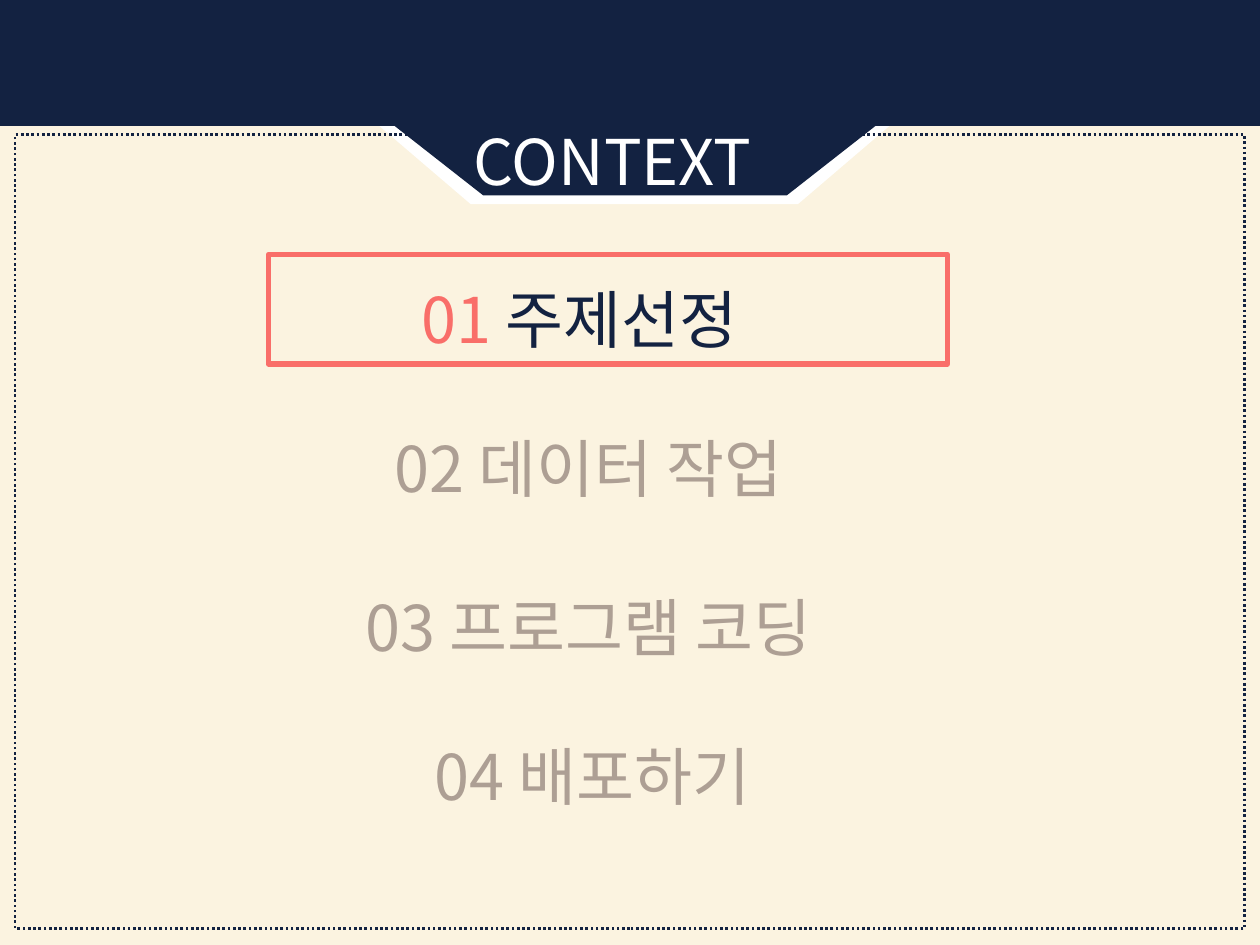
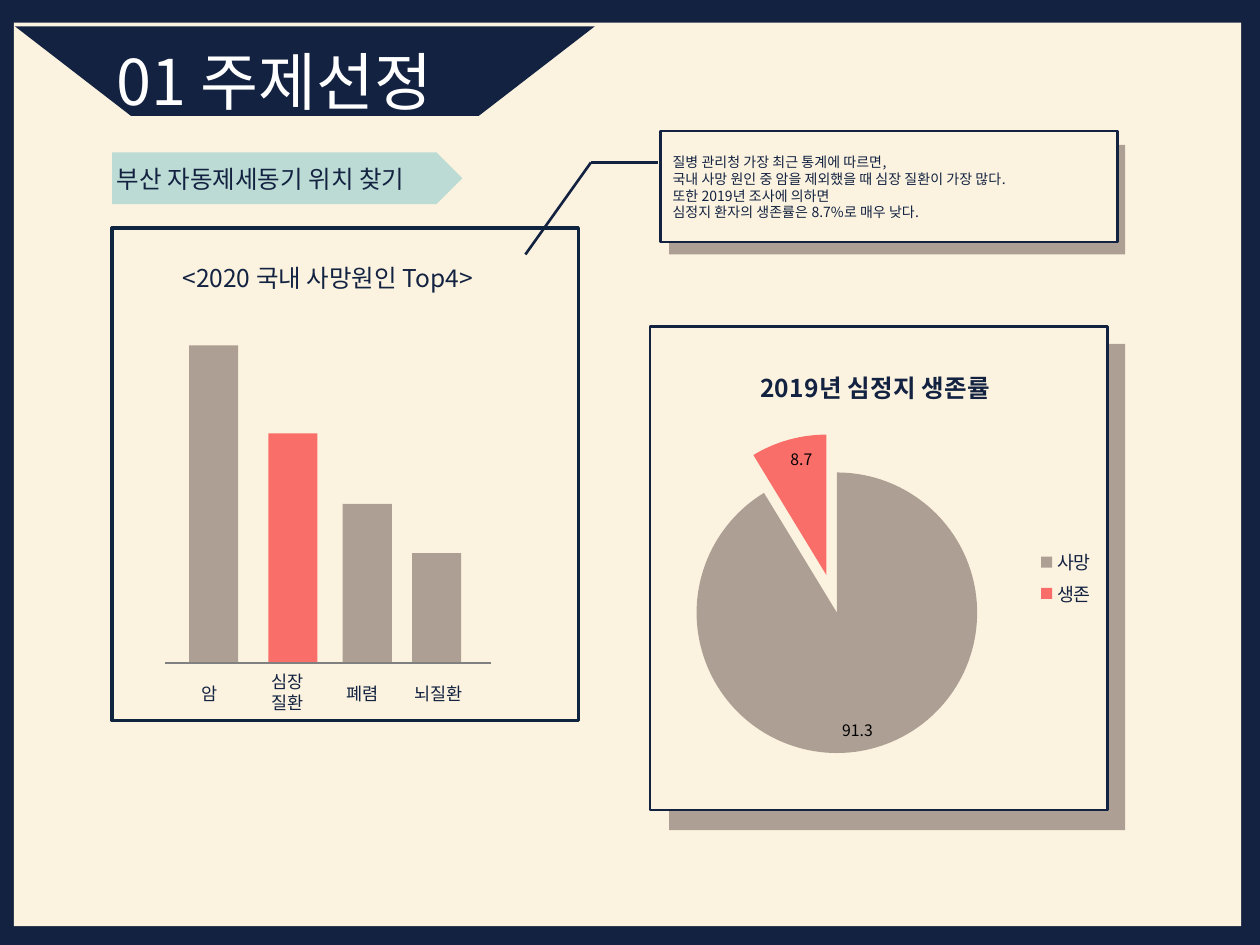
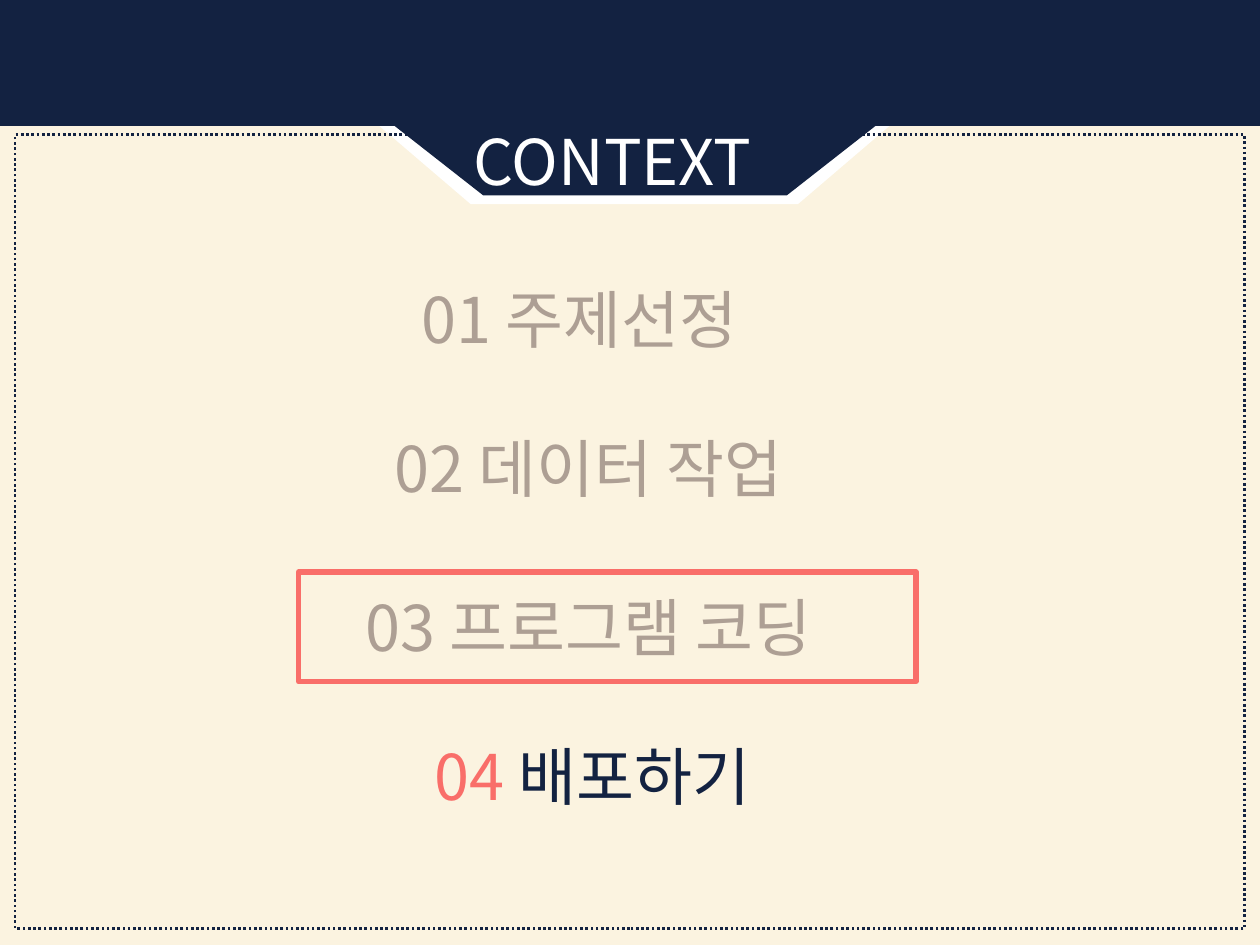
from typing import NamedTuple

from lxml import etree
from pptx import Presentation
from pptx.chart.data import CategoryChartData
from pptx.dml.color import RGBColor
from pptx.enum.chart import XL_CHART_TYPE, XL_LABEL_POSITION, XL_LEGEND_POSITION
from pptx.enum.dml import MSO_LINE
from pptx.enum.shapes import MSO_CONNECTOR, MSO_SHAPE
from pptx.enum.text import MSO_AUTO_SIZE
from pptx.oxml import parse_xml
from pptx.oxml.ns import nsdecls, qn
from pptx.slide import Slide
from pptx.util import Emu, Pt

PX = 9144  # 100 px to the inch
FONT = "Noto Sans CJK KR"
NAVY = "132241"
CREAM = "FBF3E0"
WHITE = "FFFFFF"
CORAL = "F96E69"
TAUPE = "AD9F94"
MINT = "BCDBD5"
PANEL_EDGE = "0F243E"
AXIS_GRAY = "808080"

TITLE_SIZE = 36
HEADING_SIZE = 14
BAR_LABEL_SIZE = 10
NOTE_SIZE = 8


class Box(NamedTuple):
    left: int
    top: int
    width: int
    height: int

    def emu(self) -> tuple[Emu, ...]:
        return tuple(Emu(length * PX) for length in self)


class Run(NamedTuple):
    text: str
    color: str = NAVY


class Line(NamedTuple):
    color: str
    width: float
    dash: MSO_LINE | None = None


class Topic(NamedTuple):
    number: str
    name: str
    box: Box
    fill: str | None = None


class Cause(NamedTuple):
    name: str
    bar_left: int
    bar_height: int
    label: Box
    color: str = TAUPE


TOPICS = [
    Topic("01", "주제선정", Box(325, 218, 346, 71), CREAM),
    Topic("02", "데이터 작업", Box(303, 336, 381, 71)),
    Topic("03", "프로그램 코딩", Box(280, 462, 462, 71)),
    Topic("04", "배포하기", Box(335, 580, 323, 71)),
]

CAUSES = [
    Cause("암", 150, 252, Box(150, 537, 38, 27)),
    Cause("심장질환", 213, 182, Box(206, 528, 55, 44), CORAL),
    Cause("폐렴", 272, 126, Box(265, 537, 55, 27)),
    Cause("뇌질환", 327, 87, Box(319, 537, 92, 27)),
]
BAR_WIDTH = 39
BAR_BASE = 526

NOTE = [
    "질병 관리청 가장 최근 통계에 따르면,",
    "국내 사망 원인 중 암을 제외했을 때 심장 질환이 가장 많다.",
    "또한 2019년 조사에 의하면",
    "심정지 환자의 생존률은 8.7%로 매우 낮다.",
]

OUTLINE = Line(NAVY, 1.5)


def rgb(color: str) -> RGBColor:
    return RGBColor.from_string(color)


def style_font(font, size: float, color: str, bold: bool = False) -> None:
    font.name = FONT
    font.size = Pt(size)
    font.bold = bold
    font.color.rgb = rgb(color)


def add_panel(slide: Slide, box: Box, fill: str | None = None,
              line: Line | None = None, kind: MSO_SHAPE = MSO_SHAPE.RECTANGLE) -> None:
    panel = slide.shapes.add_shape(kind, *box.emu())
    panel.shadow.inherit = False
    if fill:
        panel.fill.solid()
        panel.fill.fore_color.rgb = rgb(fill)
    else:
        panel.fill.background()
    if line:
        panel.line.color.rgb = rgb(line.color)
        panel.line.width = Pt(line.width)
        if line.dash:
            panel.line.dash_style = line.dash
    else:
        panel.line.fill.background()


def add_text(slide: Slide, box: Box, paragraphs: list[list[Run]], size: float,
             fill: str | None = None) -> None:
    holder = slide.shapes.add_textbox(*box.emu())
    if fill:
        holder.fill.solid()
        holder.fill.fore_color.rgb = rgb(fill)
    frame = holder.text_frame
    frame.word_wrap = True
    frame.auto_size = MSO_AUTO_SIZE.SHAPE_TO_FIT_TEXT
    for index, runs in enumerate(paragraphs):
        paragraph = frame.add_paragraph() if index else frame.paragraphs[0]
        for text, color in runs:
            run = paragraph.add_run()
            run.text = text
            style_font(run.font, size, color)
            east_asian = etree.SubElement(run.font._element, qn("a:ea"))
            east_asian.set("typeface", FONT)


def add_line(slide: Slide, start: tuple[int, int], end: tuple[int, int], line: Line) -> None:
    ends = [Emu(length * PX) for length in (*start, *end)]
    connector = slide.shapes.add_connector(MSO_CONNECTOR.STRAIGHT, *ends)
    connector.line.color.rgb = rgb(line.color)
    connector.line.width = Pt(line.width)
    etree.SubElement(connector._element.spPr, qn("a:effectLst"))


def add_shadowed_card(slide: Slide, card: Box, backing: Box) -> None:
    add_panel(slide, backing, TAUPE)
    add_panel(slide, card, CREAM, OUTLINE)


def add_contents_slide(prs, current: str, highlight: Box) -> None:
    slide = prs.slides.add_slide(prs.slide_layouts[6])
    tab = MSO_SHAPE.FLOWCHART_MANUAL_OPERATION
    add_panel(slide, Box(-4, 2, 1004, 751), CREAM)
    add_panel(slide, Box(287, 88, 433, 74), WHITE, kind=tab)
    add_panel(slide, Box(12, 107, 976, 630), line=Line(NAVY, 1.5, MSO_LINE.ROUND_DOT))
    add_panel(slide, Box(303, 92, 402, 63), NAVY, kind=tab)
    add_panel(slide, Box(-4, -1, 1004, 101), NAVY)
    add_text(slide, Box(366, 92, 299, 71), [[Run("CONTEXT", WHITE)]], TITLE_SIZE)
    for topic in TOPICS:
        if topic.number == current:
            runs = [Run(f"{topic.number} ", CORAL), Run(topic.name)]
        else:
            runs = [Run(f"{topic.number} {topic.name}", TAUPE)]
        add_text(slide, topic.box, [runs], TITLE_SIZE, topic.fill)
    add_panel(slide, highlight, line=Line(CORAL, 3))


def add_causes_diagram(slide: Slide) -> None:
    add_text(slide, Box(135, 204, 307, 34), [[Run("<2020 국내 사망원인 Top4>")]], HEADING_SIZE)
    for cause in CAUSES:
        bar = Box(cause.bar_left, BAR_BASE - cause.bar_height, BAR_WIDTH, cause.bar_height)
        add_panel(slide, bar, cause.color)
        add_text(slide, cause.label, [[Run(cause.name)]], BAR_LABEL_SIZE)
    add_line(slide, (131, BAR_BASE), (390, BAR_BASE), Line(AXIS_GRAY, 1))
    add_panel(slide, Box(89, 181, 370, 391), line=Line(PANEL_EDGE, 2))


def place_plot(chart, x: float, y: float, w: float, h: float) -> None:
    """Fix the inner plot area as fractions of the chart."""
    sizes = "".join(f'<c:{key} val="{value}"/>' for key, value in zip("xywh", (x, y, w, h)))
    layout = parse_xml(
        f'<c:layout {nsdecls("c")}><c:manualLayout><c:layoutTarget val="inner"/>'
        f'<c:xMode val="edge"/><c:yMode val="edge"/>{sizes}</c:manualLayout></c:layout>')
    plot_area = chart._chartSpace.chart.plotArea
    for old in plot_area.findall(qn("c:layout")):
        plot_area.remove(old)
    plot_area.insert(0, layout)


def add_survival_chart(slide: Slide) -> None:
    survival = CategoryChartData()
    survival.categories = ["사망", "생존"]
    survival.add_series("Series 1", [91.3, 8.7])
    chart = slide.shapes.add_chart(
        XL_CHART_TYPE.PIE, *Box(511, 274, 368, 369).emu(), survival).chart
    style_font(chart.font, 12, "000000")

    chart.has_title = True
    title = chart.chart_title.text_frame.paragraphs[0].add_run()
    title.text = "2019년 심정지 생존률"
    style_font(title.font, HEADING_SIZE, NAVY, bold=True)

    chart.has_legend = True
    chart.legend.position = XL_LEGEND_POSITION.RIGHT
    chart.legend.include_in_layout = False
    style_font(chart.legend.font, 10.5, NAVY)

    plot = chart.plots[0]
    plot.vary_by_categories = True
    series = plot.series[0]
    for index, color in enumerate((TAUPE, CORAL)):
        fill = series.points[index].format.fill
        fill.solid()
        fill.fore_color.rgb = rgb(color)
    explosion = parse_xml(f'<c:explosion {nsdecls("c")} val="14"/>')
    series._element.find(qn("c:dPt")).addprevious(explosion)

    plot.has_data_labels = True
    labels = plot.data_labels
    labels.show_value = True
    labels.show_percentage = False
    labels.position = XL_LABEL_POSITION.INSIDE_END
    style_font(labels.font, 9, "000000")
    place_plot(chart, 0.06, 0.07, 0.69, 0.93)


def add_topic_slide(prs) -> None:
    slide = prs.slides.add_slide(prs.slide_layouts[6])
    add_panel(slide, Box(-4, 0, 1004, 753), NAVY)
    add_panel(slide, Box(11, 18, 974, 717), CREAM)
    add_panel(slide, Box(12, 21, 460, 71), NAVY, kind=MSO_SHAPE.FLOWCHART_MANUAL_OPERATION)
    topic = TOPICS[0]
    add_text(slide, Box(83, 29, 314, 71),
             [[Run(f"{topic.number} {topic.name}", WHITE)]], TITLE_SIZE)

    callout_bend = (469, 129)
    add_line(slide, (417, 202), callout_bend, OUTLINE)
    add_line(slide, callout_bend, (522, 129), OUTLINE)
    add_shadowed_card(slide, Box(524, 104, 363, 88), Box(531, 115, 362, 87))
    add_text(slide, Box(524, 117, 360, 64), [[Run(sentence)] for sentence in NOTE], NOTE_SIZE)

    add_shadowed_card(slide, Box(516, 259, 363, 384), Box(531, 273, 362, 386))
    add_causes_diagram(slide)
    add_survival_chart(slide)

    add_panel(slide, Box(89, 121, 278, 41), MINT, kind=MSO_SHAPE.PENTAGON)
    add_text(slide, Box(83, 125, 307, 34), [[Run("부산 자동제세동기 위치 찾기")]], HEADING_SIZE)


def main() -> None:
    prs = Presentation()
    prs.slide_width = Emu(1000 * PX)
    prs.slide_height = Emu(750 * PX)
    add_contents_slide(prs, "01", Box(213, 202, 539, 87))
    add_topic_slide(prs)
    add_contents_slide(prs, "04", Box(237, 454, 490, 87))
    prs.save("out.pptx")


if __name__ == "__main__":
    main()
